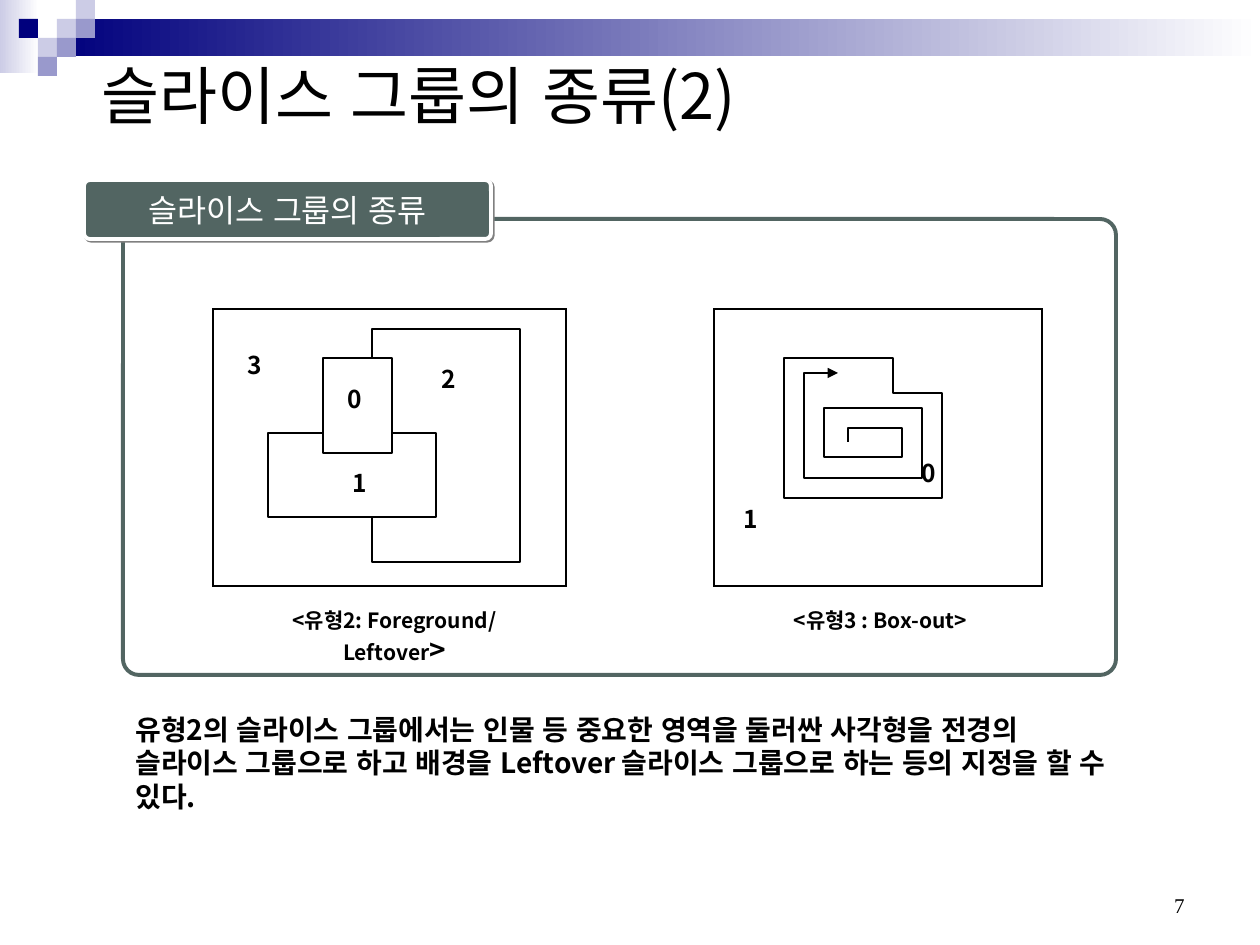
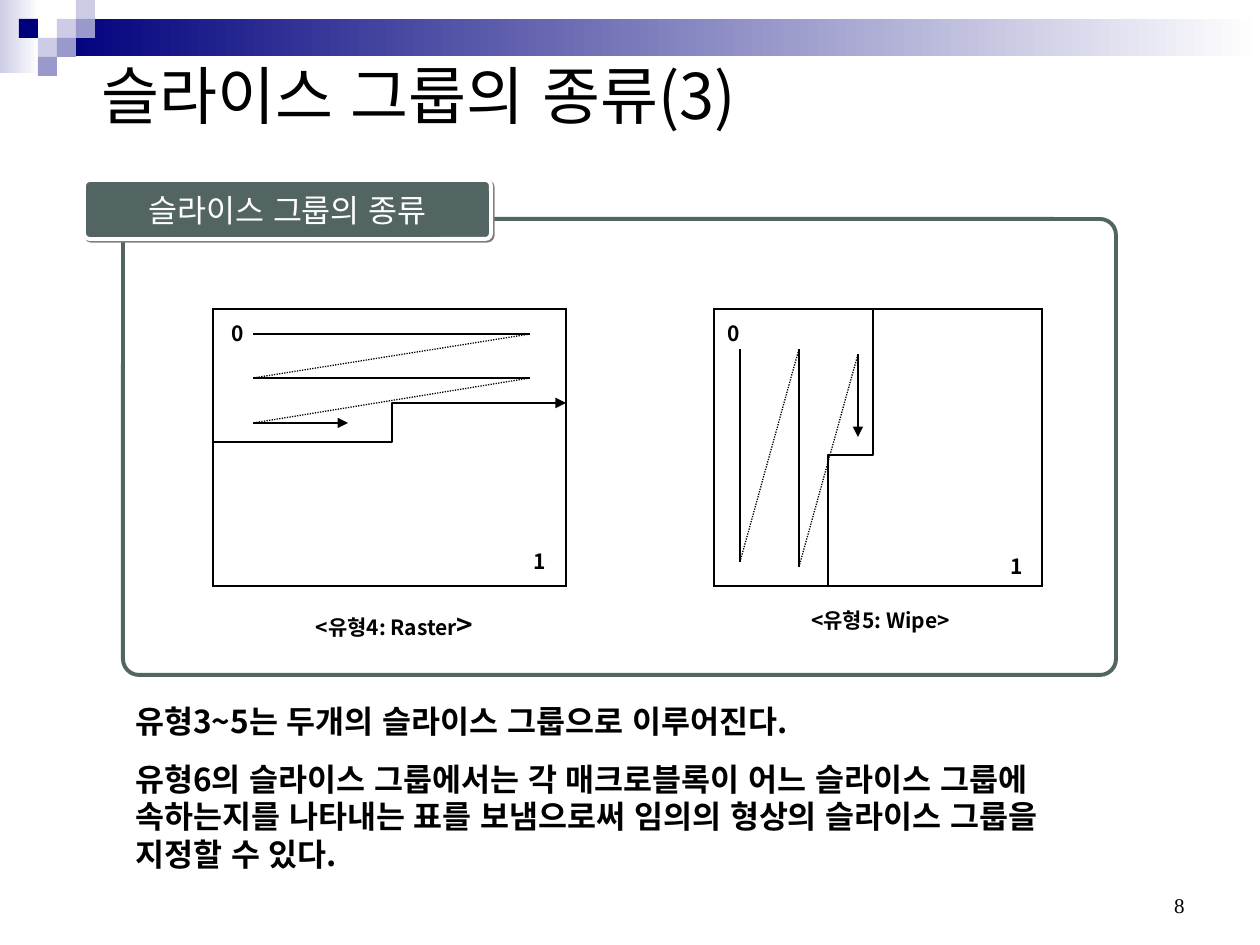
from lxml.etree import SubElement
from pptx import Presentation
from pptx.dml.color import RGBColor
from pptx.enum.dml import MSO_LINE
from pptx.enum.lang import MSO_LANGUAGE_ID
from pptx.enum.shapes import MSO_CONNECTOR, MSO_SHAPE
from pptx.enum.text import MSO_ANCHOR, PP_ALIGN
from pptx.oxml.ns import qn
from pptx.util import Emu, Pt

EMU_PER_PX = 914400 / 126
BLACK = RGBColor(0x00, 0x00, 0x00)
WHITE = RGBColor(0xFF, 0xFF, 0xFF)
NAVY = RGBColor(0x00, 0x00, 0x7D)
LAVENDER = RGBColor(0xCC, 0xCC, 0xE6)
PERIWINKLE = RGBColor(0x99, 0x99, 0xCC)
SLATE = RGBColor(0x52, 0x65, 0x62)
GREY = RGBColor(0x80, 0x80, 0x80)
KOREAN_FONT = "Noto Sans CJK KR"
NUMBER_FONT = "Times New Roman"
SQUARE = 19
MOSAIC = [(3, 1, LAVENDER), (4, 0, LAVENDER), (4, 1, PERIWINKLE),
          (2, 2, LAVENDER), (1, 1, NAVY), (3, 2, PERIWINKLE),
          (2, 3, PERIWINKLE)]
PANEL = (123, 219, 993, 456)
LEFT_FRAME = (213, 309, 353, 277)
RIGHT_FRAME = (714, 309, 328, 277)
LABEL_BOXES = {14: (54, 43), 12: (39, 38)}


def px(length):
    return Emu(round(length * EMU_PER_PX))


def shift(box, points):
    return [(box[0] + x, box[1] + y) for x, y in points]


def write(frame, paragraphs, *, size=12, color=BLACK, font=KOREAN_FONT,
          bold=False, align=PP_ALIGN.LEFT, anchor=MSO_ANCHOR.TOP,
          wrap=True, space=0):
    frame.word_wrap = wrap
    frame.vertical_anchor = anchor
    for index, pieces in enumerate(paragraphs):
        paragraph = frame.add_paragraph() if index else frame.paragraphs[0]
        paragraph.alignment = align
        paragraph.space_before = Pt(space)
        for piece in pieces:
            words, points = piece if isinstance(piece, tuple) else (piece, size)
            run = paragraph.add_run()
            run.text = words
            run.font.size = Pt(points)
            run.font.bold = bold
            run.font.name = font
            run.font.color.rgb = color
            run.font.language_id = MSO_LANGUAGE_ID.KOREAN
            SubElement(run.font._element, qn("a:ea")).set("typeface", font)


def add_text(slide, box, paragraphs, **style):
    holder = slide.shapes.add_textbox(*map(px, box))
    write(holder.text_frame, paragraphs, **style)


def add_box(slide, box, fill=None, line=None, width=0.75,
            kind=MSO_SHAPE.RECTANGLE):
    shape = slide.shapes.add_shape(kind, *map(px, box))
    shape.shadow.inherit = False
    if fill is None:
        shape.fill.background()
    else:
        shape.fill.solid()
        shape.fill.fore_color.rgb = fill
    if line is None:
        shape.line.fill.background()
    else:
        shape.line.color.rgb = line
        shape.line.width = Pt(width)
    return shape


def ink(shape, width, arrow):
    shape.line.color.rgb = BLACK
    shape.line.width = Pt(width)
    if arrow:
        outline = shape.element.spPr.find(qn("a:ln"))
        SubElement(outline, qn("a:tailEnd")).set("type", "triangle")


def add_outline(slide, box, points, close=False, width=0.75, arrow=False):
    start, *rest = shift(box, points)
    builder = slide.shapes.build_freeform(*start, scale=EMU_PER_PX)
    builder.add_line_segments(rest, close=close)
    outline = builder.convert_to_shape()
    outline.shadow.inherit = False
    outline.fill.background()
    ink(outline, width, arrow)


def add_zigzag(slide, box, points):
    turns = shift(box, points)
    last = len(turns) - 2
    for index, (start, end) in enumerate(zip(turns, turns[1:])):
        stroke = slide.shapes.add_connector(
            MSO_CONNECTOR.STRAIGHT, *map(px, start + end))
        SubElement(stroke.element.spPr, qn("a:effectLst"))
        if index % 2:
            stroke.line.dash_style = MSO_LINE.ROUND_DOT
        ink(stroke, 0.75, index == last)


def add_labels(slide, box, labels, size):
    for digit, x, y in labels:
        add_text(slide, (box[0] + x, box[1] + y, *LABEL_BOXES[size]), [[digit]],
                 size=size, bold=True, align=PP_ALIGN.CENTER,
                 space=size * 0.625)


def add_fade(slide, box, color):
    fade = add_box(slide, box)
    fade.fill.gradient()
    fade.fill.gradient_angle = 180
    for stop, shade in zip(fade.fill.gradient_stops, (WHITE, color)):
        stop.color.rgb = shade


def add_header(slide, title):
    add_fade(slide, (0, 0, 39, 73), LAVENDER)
    add_fade(slide, (57, SQUARE, 1203, 37), NAVY)
    for column, row, color in MOSAIC:
        add_box(slide, (column * SQUARE, row * SQUARE, SQUARE, SQUARE), color)
    add_text(slide, (89, 0, 1134, 189), [[title]], size=36,
             anchor=MSO_ANCHOR.MIDDLE)


def add_panel(slide, box, heading):
    left, top, _, _ = box
    border = add_box(slide, box, line=SLATE, width=2.25,
                     kind=MSO_SHAPE.ROUNDED_RECTANGLE)
    border.adjustments[0] = 0.035
    tab = add_box(slide, (left - 39, top - 39, 407, 59), SLATE, WHITE, 2.25,
                  MSO_SHAPE.ROUNDED_RECTANGLE)
    tab.adjustments[0] = 0.096
    effects = tab.element.spPr.find(qn("a:effectLst"))
    shadow = SubElement(effects, qn("a:outerShdw"), dist=str(Pt(1.4)),
                        dir="2700000", algn="ctr", rotWithShape="0")
    SubElement(shadow, qn("a:srgbClr")).set("val", str(GREY))
    write(tab.text_frame, [[heading]], size=18, color=WHITE, wrap=False,
          align=PP_ALIGN.CENTER, anchor=MSO_ANCHOR.MIDDLE)


def add_frame(slide, box):
    table = slide.shapes.add_table(1, 1, *map(px, box)).table
    table.first_row = table.horz_banding = False
    cell = table.cell(0, 0)
    properties = cell._tc.get_or_add_tcPr()
    for side in ("a:lnL", "a:lnR", "a:lnT", "a:lnB"):
        border = SubElement(properties, qn(side), w=str(Pt(1.08)))
        paint = SubElement(border, qn("a:solidFill"))
        SubElement(paint, qn("a:srgbClr")).set("val", str(BLACK))
    cell.fill.background()


def add_caption(slide, box, pieces, inset, width, height, space):
    add_text(slide, (box[0] + inset, box[1] + 292, width, height), [pieces],
             bold=True, align=PP_ALIGN.CENTER, space=space)


def add_left_caption(slide, box, words, height):
    add_caption(slide, box, [words, (">", 16)], 15, 333, height, 10)


def add_right_caption(slide, box, words):
    add_caption(slide, box, [words], -10, 353, 38, 7.5)


def draw_foreground(slide, box):
    add_frame(slide, box)
    add_box(slide, (box[0] + 110, box[1] + 49, 69, 95), line=BLACK)
    add_outline(slide, box, [(110, 124), (55, 124), (55, 208), (223, 208),
                             (223, 124), (179, 124)])
    add_outline(slide, box, [(159, 49), (159, 20), (307, 20), (307, 253),
                             (159, 253), (159, 208)])
    add_labels(slide, box, [("3", 15, 35), ("0", 115, 69), ("2", 209, 49),
                            ("1", 120, 153)], 14)
    add_left_caption(slide, box, "<유형2: Foreground/ Leftover", 72)


def draw_box_out(slide, box):
    add_frame(slide, box)
    add_outline(slide, box, [(70, 49), (70, 189), (228, 189), (228, 84),
                             (179, 84), (179, 49)], close=True)
    add_outline(slide, box, [(134, 133), (134, 119), (188, 119), (188, 148),
                             (110, 148), (110, 99), (208, 99), (208, 169),
                             (90, 169), (90, 64), (124, 64)],
                width=1.25, arrow=True)
    add_labels(slide, box, [("1", 10, 189), ("0", 188, 143)], 14)
    add_right_caption(slide, box, "<유형3 : Box-out>")


def draw_raster(slide, box):
    add_frame(slide, box)
    add_zigzag(slide, box, [(40, 25), (317, 25), (40, 69), (317, 69),
                            (40, 114), (135, 114)])
    add_outline(slide, box, [(0, 133), (179, 133), (179, 94), (353, 94)],
                arrow=True)
    add_labels(slide, box, [("0", 5, 5), ("1", 307, 233)], 12)
    add_left_caption(slide, box, "<유형4: Raster", 47)


def draw_wipe(slide, box):
    add_frame(slide, box)
    add_zigzag(slide, box, [(26, 40), (26, 253), (85, 40), (85, 258),
                            (144, 45), (144, 128)])
    add_outline(slide, box, [(159, 0), (159, 146), (114, 146), (114, 277)])
    add_labels(slide, box, [("0", 0, 5), ("1", 283, 238)], 12)
    add_right_caption(slide, box, "<유형5: Wipe>")


def add_types_slide(deck, part, number, draw_left, draw_right, notes_box,
                    notes, size):
    slide = deck.slides.add_slide(deck.slide_layouts[6])
    add_header(slide, f"슬라이스 그룹의 종류({part})")
    add_panel(slide, PANEL, "슬라이스 그룹의 종류")
    draw_left(slide, LEFT_FRAME)
    draw_right(slide, RIGHT_FRAME)
    add_text(slide, notes_box, [[note] for note in notes], size=size,
             bold=True, space=size * 0.625)
    add_text(slide, (903, 861, 294, 63), [[number]], font=NUMBER_FONT,
             align=PP_ALIGN.RIGHT, anchor=MSO_ANCHOR.BOTTOM)


def main():
    deck = Presentation()
    deck.slide_width, deck.slide_height = px(1260), px(945)
    add_types_slide(
        deck, 2, "7", draw_foreground, draw_box_out, (123, 706, 997, 113),
        ["유형2의 슬라이스 그룹에서는 인물 등 중요한 영역을 둘러싼 사각형을 전경의 "
         "슬라이스 그룹으로 하고 배경을 Leftover 슬라이스 그룹으로 하는 등의 지정을 할 "
         "수 있다."], 16)
    add_types_slide(
        deck, 3, "8", draw_raster, draw_wipe, (123, 696, 997, 184),
        ["유형3~5는 두개의 슬라이스 그룹으로 이루어진다.",
         "유형6의 슬라이스 그룹에서는 각 매크로블록이 어느 슬라이스 그룹에 "
         "속하는지를 나타내는 표를 보냄으로써 임의의 형상의 슬라이스 그룹을 "
         "지정할 수 있다."], 18)
    deck.save("out.pptx")


if __name__ == "__main__":
    main()
